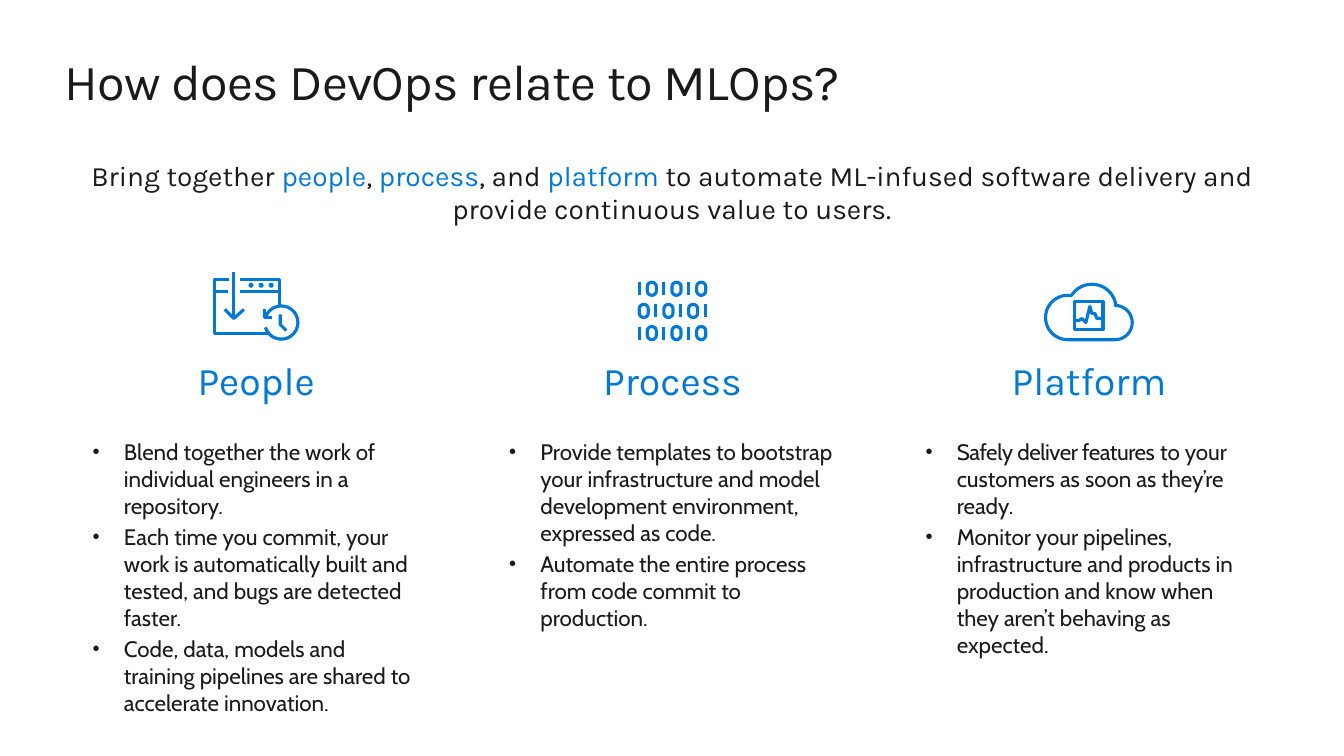
from math import cos, radians, sin

from lxml.etree import SubElement
from pptx import Presentation
from pptx.dml.color import RGBColor
from pptx.enum.text import MSO_ANCHOR, MSO_AUTO_SIZE, PP_ALIGN
from pptx.oxml.ns import qn
from pptx.util import Inches, Pt

BLUE = RGBColor(0x00, 0x78, 0xD4)
INK = RGBColor(0x1A, 0x1A, 0x1A)
BLACK = RGBColor(0x00, 0x00, 0x00)
WHITE = RGBColor(0xFF, 0xFF, 0xFF)
HEAD = "Karla"
BODY = "Cabin"
UNITS = 1000

LEFT, WIDTH, PITCH = 0.64, 3.8, 4.13
ICON_TOP = 2.7


def add_bullet(para):
    props = para._p.get_or_add_pPr()
    props.set("marL", str(Inches(0.31)))
    props.set("indent", str(-Inches(0.31)))
    SubElement(props, qn("a:buSzPct")).set("val", "90000")
    SubElement(props, qn("a:buFont")).set("typeface", "Arial")
    SubElement(props, qn("a:buChar")).set("char", "•")


def put_text(shape, paras, size, font, color=INK, align=PP_ALIGN.LEFT,
             inset=(0, 0), bullet=False, gap=0):
    frame = shape.text_frame
    frame.word_wrap = True
    frame.auto_size = MSO_AUTO_SIZE.NONE
    frame.vertical_anchor = MSO_ANCHOR.TOP
    frame.margin_left = frame.margin_right = Inches(inset[0])
    frame.margin_top = frame.margin_bottom = Inches(inset[1])
    for row, runs in enumerate(paras):
        para = frame.add_paragraph() if row else frame.paragraphs[0]
        para.alignment = align
        if row:
            para.space_before = Pt(gap)
        if bullet:
            add_bullet(para)
        for words, look in runs:
            run = para.add_run()
            run.text = words
            run.font.size = Pt(size)
            run.font.name = font
            run.font.color.rgb = look.get("color", color)
            if "space" in look:
                run.font._element.set("spc", str(look["space"]))


def add_box(slide, left, top, width, height):
    return slide.shapes.add_textbox(
        Inches(left), Inches(top), Inches(width), Inches(height))


def arc(x, y, radius, start, end, steps=24):
    turns = [radians(start + (end - start) * n / steps) for n in range(steps + 1)]
    return [(x + radius * cos(t), y + radius * sin(t)) for t in turns]


def draw(slide, left, top, lines=(), loops=(), fill=None):
    paths = [(points, False) for points in lines] + [(points, True) for points in loops]
    pen = None
    for points, closed in paths:
        scaled = [(x * UNITS, y * UNITS) for x, y in points]
        if pen is None:
            pen = slide.shapes.build_freeform(*scaled[0], scale=Inches(1) / UNITS)
        else:
            pen.move_to(*scaled[0])
        pen.add_line_segments(scaled[1:], close=closed)
    shape = pen.convert_to_shape(Inches(left), Inches(top))
    shape.shadow.inherit = False
    if fill is None:
        shape.fill.background()
    else:
        shape.fill.solid()
        shape.fill.fore_color.rgb = fill
    shape.line.color.rgb = BLUE
    shape.line.width = Pt(2.25)


def draw_people(slide, left, top):
    x = left + 1.49
    draw(slide, x, top, fill=WHITE, lines=[
        [(0.25, 0.07), (0.64, 0.07), (0.64, 0.61), (0, 0.61), (0, 0.07), (0.14, 0.07)],
        [(0.25, 0.19), (0.64, 0.19)],
        [(0, 0.19), (0.13, 0.19)],
        [(0.1, 0.37), (0.19, 0.46), (0.29, 0.37)],
        [(0.19, 0), (0.19, 0.46)],
    ], loops=[arc(dot, 0.13, 0.01, 0, 360, 8) for dot in (0.36, 0.46, 0.56)])
    draw(slide, x, top, fill=WHITE, lines=[
        [(0.71, 0.58), (0.65, 0.52), (0.65, 0.42)],
        [(0.49, 0.37), (0.49, 0.45), (0.57, 0.45)],
        arc(0.66, 0.5, 0.165, 163, -163),
    ])


def draw_process(slide, left, top):
    ones, zeros = [], []
    for row, digits in enumerate(("101010", "010101", "101010")):
        x, y = 0, row * 0.22
        for digit in digits:
            if digit == "1":
                ones.append([(x, y), (x, y + 0.13)])
                x += 0.08
            else:
                mid = x + 0.045
                zeros.append(arc(mid, y + 0.045, 0.045, 180, 360, 8)
                             + arc(mid, y + 0.085, 0.045, 0, 180, 8))
                x += 0.165
    draw(slide, left + 1.57, top + 0.1, lines=ones, loops=zeros)


def draw_platform(slide, left, top):
    x, y = left + 1.47, top + 0.12
    draw(slide, x, y, loops=[
        arc(0.22, 0.33, 0.22, 90, 280)
        + arc(0.46, 0.24, 0.24, 213, 353)
        + arc(0.69, 0.38, 0.17, -90, 90)
    ])
    draw(slide, x, y, lines=[
        [(0.57, 0.34), (0.51, 0.34), (0.49, 0.29), (0.46, 0.29), (0.44, 0.22),
         (0.4, 0.38), (0.36, 0.34), (0.33, 0.36), (0.29, 0.36)],
    ], loops=[[(0.29, 0.45), (0.29, 0.17), (0.57, 0.17), (0.57, 0.45)]])


COLUMNS = [
    ("People", draw_people, [
        [("Blend together the work of individual engineers in a repository.", {})],
        [("Each time you commit, your work is automatically built and tested, "
          "and bugs are detected faster.", {})],
        [("Code, data, models and training pipelines are shared to accelerate "
          "innovation.", {})],
    ]),
    ("Process", draw_process, [
        [("Provide templates to bootstrap your infrastructure and model development "
          "environment, expressed as code.", {})],
        [("Automate the entire process from code commit to production.", {})],
    ]),
    ("Platform", draw_platform, [
        [("Safely deliver features", {"space": -30}),
         (" to your customers as soon as they’re ready.", {})],
        [("Monitor your pipelines, infrastructure and products in production and "
          "know when they aren’t behaving as expected", {}),
         (".", {"color": BLACK})],
    ]),
]


def add_header(slide, left, top, width):
    title = slide.shapes.title
    title.left, title.top = Inches(left), Inches(top)
    title.width, title.height = Inches(width), Inches(0.61)
    put_text(title, [[("How does DevOps relate to MLOps?", {"space": -50})]], 36, HEAD)
    key = {"color": BLUE}
    put_text(add_box(slide, left, top + 1.07, width, 0.67), [[
        ("Bring together ", {}), ("people", key), (", ", {}), ("process", key),
        (", and ", {}), ("platform", key),
        (" to automate ML-infused software delivery and provide continuous value "
         "to users.", {}),
    ]], 20, HEAD, align=PP_ALIGN.CENTER)


def add_column(slide, left, top, width, name, icon, points):
    icon(slide, left, top)
    put_text(add_box(slide, left, top + 0.79, width, 0.61), [[(name, {})]], 28, HEAD,
             color=BLUE, align=PP_ALIGN.CENTER, inset=(0.1, 0.05))
    put_text(add_box(slide, left, top + 1.6, width, 0.61), points, 16, BODY,
             inset=(0.28, 0.05), bullet=True, gap=3.2)


def main():
    deck = Presentation()
    deck.slide_width, deck.slide_height = Inches(13.33), Inches(7.5)
    slide = deck.slides.add_slide(deck.slide_layouts[5])
    add_header(slide, LEFT, 0.5, 12.05)
    for n, column in enumerate(COLUMNS):
        add_column(slide, LEFT + n * PITCH, ICON_TOP, WIDTH, *column)
    deck.save("out.pptx")


if __name__ == "__main__":
    main()
